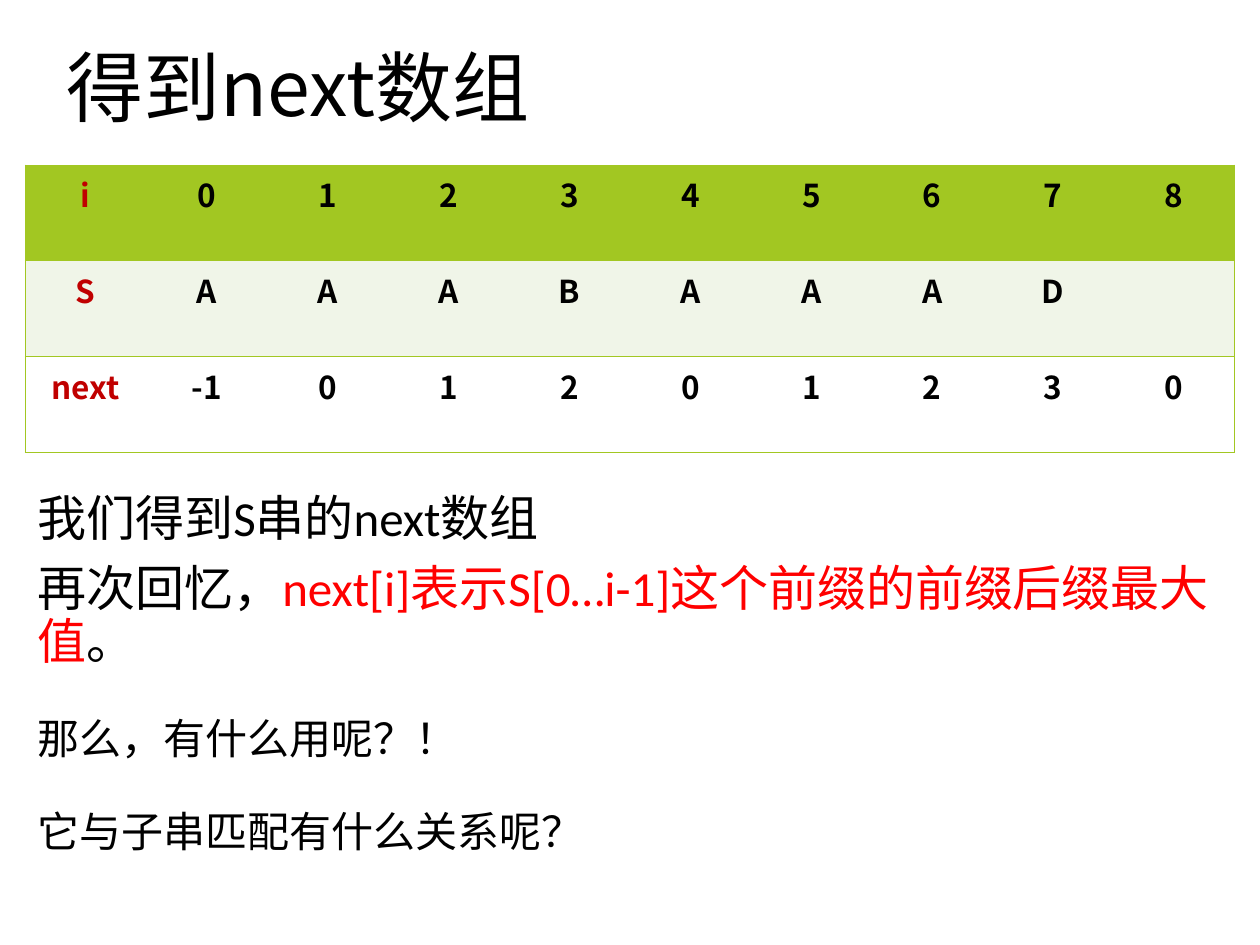
from lxml.etree import SubElement
from pptx import Presentation
from pptx.dml.color import RGBColor
from pptx.enum.text import MSO_ANCHOR, PP_ALIGN
from pptx.oxml.ns import qn
from pptx.util import Inches, Pt

BLACK = RGBColor(0x00, 0x00, 0x00)
RED = RGBColor(0xFF, 0x00, 0x00)
DARK_RED = RGBColor(0xC0, 0x00, 0x00)
GREEN = RGBColor(0xA2, 0xC7, 0x22)
PALE_GREEN = RGBColor(0xF0, 0xF5, 0xE8)
WHITE = RGBColor(0xFF, 0xFF, 0xFF)
HEADING_FONT = "Noto Sans CJK SC"
BODY_FONT = "Calibri"

TITLE = [(44, 0.9, [("得到next数组", BLACK)])]
BODY = [
    (28, 0.9, [("我们得到S串的next数组", BLACK)]),
    (28, 0.9, [("再次回忆，", BLACK),
               ("next[i]表示S[0…i-1]这个前缀的前缀后缀最大值", RED),
               ("。", BLACK)]),
    (24, 1.5, [("那么，有什么用呢？！", BLACK)]),
    (24, 1.5, [("它与子串匹配有什么关系呢？", BLACK)]),
]
ROWS = [
    (GREEN, ["i", "0", "1", "2", "3", "4", "5", "6", "7", "8"]),
    (PALE_GREEN, ["S", "A", "A", "A", "B", "A", "A", "A", "D", ""]),
    (WHITE, ["next", "-1", "0", "1", "2", "0", "1", "2", "3", "0"]),
]
COLUMN_COUNT = len(ROWS[0][1])
COLUMN_WIDTH, ROW_HEIGHT = Inches(0.96), Inches(0.76)


def set_east_asian_font(run, name):
    SubElement(run.font._element, qn("a:ea")).set("typeface", name)


def add_text(slide, box, paragraphs, font_name, anchor):
    shape = slide.shapes.add_textbox(*map(Inches, box))
    frame = shape.text_frame
    frame.word_wrap = True
    frame.vertical_anchor = anchor
    for index, (size, line_spacing, runs) in enumerate(paragraphs):
        paragraph = frame.add_paragraph() if index else frame.paragraphs[0]
        paragraph.line_spacing = line_spacing
        paragraph.space_before = Pt(10 if index else 0)
        paragraph.font.size = Pt(size)
        paragraph.font.name = font_name
        for text, color in runs:
            run = paragraph.add_run()
            run.text = text
            run.font.size = Pt(size)
            run.font.color.rgb = color
            run.font.name = font_name
            set_east_asian_font(run, font_name)


def set_borders(cell, visible_sides):
    properties = cell._tc.get_or_add_tcPr()
    for index, side in enumerate("LRTB"):
        line = SubElement(properties, qn(f"a:ln{side}"), w=str(Pt(0.45)))
        if side in visible_sides:
            fill = SubElement(line, qn("a:solidFill"))
            SubElement(fill, qn("a:srgbClr"), val=str(GREEN))
        else:
            SubElement(line, qn("a:noFill"))
        properties.insert(index, line)


def add_next_table(slide):
    table = slide.shapes.add_table(
        len(ROWS), COLUMN_COUNT, Inches(0.2), Inches(1.31),
        COLUMN_WIDTH * COLUMN_COUNT, ROW_HEIGHT * len(ROWS)).table
    table.first_row = table.horz_banding = False
    for row_index, (fill, values) in enumerate(ROWS):
        table.rows[row_index].height = ROW_HEIGHT
        for column_index, value in enumerate(values):
            cell = table.cell(row_index, column_index)
            cell.fill.solid()
            cell.fill.fore_color.rgb = fill
            sides = {0: "LTB", COLUMN_COUNT - 1: "RTB"}.get(column_index, "TB")
            set_borders(cell, sides)
            cell.text = value
            paragraph = cell.text_frame.paragraphs[0]
            paragraph.alignment = PP_ALIGN.CENTER
            paragraph.font.size = Pt(18)
            paragraph.font.bold = True
            paragraph.font.name = HEADING_FONT
            paragraph.font.color.rgb = BLACK if column_index else DARK_RED


presentation = Presentation()
presentation.slide_width, presentation.slide_height = Inches(10), Inches(7.5)
slide = presentation.slides.add_slide(presentation.slide_layouts[6])
add_text(slide, (0.43, 0, 8.62, 1.45), TITLE, HEADING_FONT, MSO_ANCHOR.MIDDLE)
add_text(slide, (0.2, 3.87, 9.61, 3.2), BODY, BODY_FONT, MSO_ANCHOR.TOP)
add_next_table(slide)
presentation.save("out.pptx")
